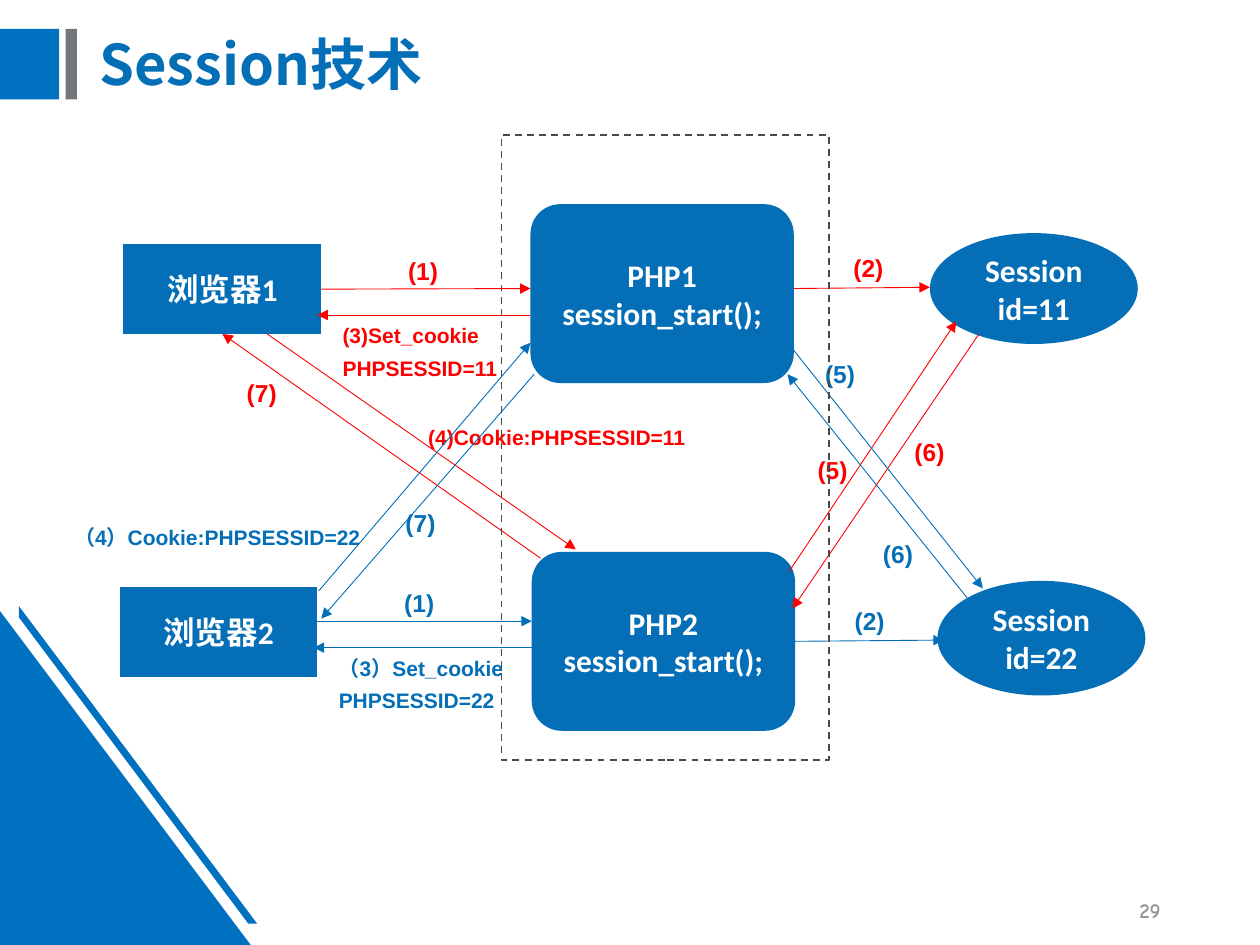
from dataclasses import dataclass

from lxml.etree import SubElement
from pptx import Presentation
from pptx.dml.color import RGBColor
from pptx.enum.dml import MSO_LINE_DASH_STYLE as Dash
from pptx.enum.shapes import MSO_CONNECTOR as Connector, MSO_SHAPE as Shape
from pptx.enum.text import MSO_ANCHOR as Anchor, PP_ALIGN as Align
from pptx.oxml.ns import qn
from pptx.util import Inches, Pt

COLORS = {"accent": "0070C0", "bar": "73777A", "blue": "046FB6", "red": "FF0000",
          "white": "FFFFFF", "number": "949596", "frame": "47494B"}
CJK_FONT = "Noto Sans CJK SC"
UNIT = Inches(0.1)  # the page is a grid of 100 columns by 75 rows
TOP, LEFT, BOTTOM, RIGHT = range(4)


@dataclass
class Box:
    left: float
    top: float
    width: float
    height: float

    @property
    def right(self):
        return self.left + self.width

    def point(self, x, y):
        return self.left + x, self.top + y

    def inner(self, x, y, width, height):
        return Box(*self.point(x, y), width, height)

    def lengths(self):
        return [grid(n) for n in (self.left, self.top, self.width, self.height)]


def grid(number):
    return round(number * UNIT)


def color(name):
    return RGBColor.from_string(COLORS[name])


def write(holder, lines, size, font, ink, align=Align.LEFT, spacing=None, anchor=Anchor.TOP):
    frame = holder.text_frame
    frame.word_wrap = True
    frame.vertical_anchor = anchor
    for index, line in enumerate(lines):
        para = frame.add_paragraph() if index else frame.paragraphs[0]
        para.alignment = align
        if spacing:
            para.line_spacing = spacing
        span = para.add_run()
        span.text = line
        span.font.size = Pt(size)
        span.font.bold = True
        span.font.name = font
        span.font.color.rgb = color(ink)
        SubElement(span.font._element, qn("a:ea"), typeface=CJK_FONT)


def add_text(page, box, lines, *style, **options):
    write(page.shapes.add_textbox(*box.lengths()), lines, *style, **options)


def add_label(page, box, lines, ink, size=12):
    add_text(page, box, lines, size, "Arial", ink, spacing=1.3)


def add_step(page, point, number, ink):
    add_label(page, Box(*point, 5.4, 4.1), [f"({number})"], ink, 14)


def paint(shape, fill):
    shape.shadow.inherit = False
    shape.fill.solid()
    shape.fill.fore_color.rgb = color(fill)
    shape.line.fill.background()


def add_block(page, kind, box, fill, lines=()):
    block = page.shapes.add_shape(kind, *box.lengths())
    paint(block, fill)
    if lines:
        write(block, lines, 18, "Calibri", "white", Align.CENTER, anchor=Anchor.MIDDLE)
    return block


def add_arrow(page, start, end, ink):
    arrow = page.shapes.add_connector(Connector.STRAIGHT, *map(grid, (*start, *end)))
    arrow.line.color.rgb = color(ink)
    arrow.line.width = Pt(0.5)
    SubElement(arrow.line._get_or_add_ln(), qn("a:tailEnd"), type="triangle")
    SubElement(arrow._element.spPr, qn("a:effectLst"))
    return arrow


def draw_header(page, box):
    add_block(page, Shape.RECTANGLE, box.inner(0, 1.3, 4.7, 5.6), "accent")
    add_block(page, Shape.RECTANGLE, box.inner(5.2, 1.3, 0.9, 5.6), "bar")
    add_text(page, box.inner(6.9, 0, 89, box.height), ["Session技术"], 32, CJK_FONT, "blue",
             spacing=0.9, anchor=Anchor.MIDDLE)


def draw_corner(page, box):
    add_block(page, Shape.RIGHT_TRIANGLE, box.inner(0, 0.4, 19.9, 26.5), "accent")
    corners = [box.point(*xy) for xy in ((1.5, 0), (20.4, 25.2), (19.7, 25.2), (1.5, 0.9))]
    outline = [(grid(x), grid(y)) for x, y in corners]
    builder = page.shapes.build_freeform(*outline[0], scale=1.0)
    builder.add_line_segments(outline[1:], close=True)
    paint(builder.convert_to_shape(), "accent")


def draw_lane(page, box, number, ink, client_y, server_x, store_height, request_y, store_y,
              store_end, cookie):
    """One browser, its PHP server and its session store, with steps 1 to 3."""
    client = box.inner(0, client_y, 15.7, 7.1)
    server = box.inner(server_x, 0, 20.9, box.height)
    store = box.inner(box.width - 16.5, 2.3, 16.5, store_height)
    client_block = add_block(page, Shape.FLOWCHART_PROCESS, client, "blue", [f"浏览器{number}"])
    server_block = add_block(page, Shape.FLOWCHART_ALTERNATE_PROCESS, server, "blue",
                             [f"PHP{number}", "session_start();"])
    add_block(page, Shape.OVAL, store, "blue", ["Session", f"id={number}{number}"])

    request, reply = box.top + request_y, box.top + request_y + 2.1
    store_row = box.top + store_y
    asking = add_arrow(page, (client.right, request), (server.left, request), ink)
    saving = add_arrow(page, (server.right, store_row),
                       (store.left + store_end, store_row - 0.1), ink)
    add_arrow(page, (server.left, reply), (client.right - 0.3, reply), ink)
    if number == 1:
        asking.begin_connect(client_block, RIGHT)
    else:
        saving.begin_connect(server_block, RIGHT)

    add_step(page, box.point(21.6, request_y - 3.8), 1, ink)
    add_step(page, (server.right + 3.75, store_row - 4), 2, ink)
    add_label(page, Box(client.right + 0.7, reply - 0.5, 15.2, 6.2), cookie, ink)
    return client_block


def draw_exchange(page, box, ink, routes, steps, cookie, cookie_box):
    """Steps 4 to 7, which cross over to the other lane."""
    arrows = [add_arrow(page, box.point(*start), box.point(*end), ink) for start, end in routes]
    add_label(page, box.inner(*cookie_box), [cookie], ink)
    for number, place in enumerate(steps, 5):
        add_step(page, box.point(*place), number, ink)
    return arrows


def draw_server_frame(page, box):
    frame = page.shapes.add_shape(Shape.RECTANGLE, *box.lengths())
    frame.shadow.inherit = False
    frame.fill.background()
    frame.line.color.rgb = color("frame")
    frame.line.width = Pt(1)
    frame.line.dash_style = Dash.DASH


def draw_page_number(page, box):
    add_text(page, box, ["29"], 12, "Comic Neue", "number", Align.RIGHT, anchor=Anchor.MIDDLE)


def main():
    deck = Presentation()
    deck.slide_width, deck.slide_height = 100 * UNIT, 75 * UNIT
    page = deck.slides.add_slide(deck.slide_layouts[6])
    draw_header(page, Box(0, 1, 100, 8.7))
    draw_corner(page, Box(0, 48.1, 20.4, 26.9))
    draw_page_number(page, Box(70.6, 70.2, 22.5, 4))

    first_client = draw_lane(
        page, Box(9.8, 16.2, 80.5, 14.2), 1, "red", client_y=3.2, server_x=32.3,
        store_height=8.8, request_y=6.7, store_y=6.7, store_end=0,
        cookie=["(3)Set_cookie", "PHPSESSID=11"])
    draw_lane(
        page, Box(9.5, 43.8, 81.4, 14.2), 2, "blue", client_y=2.8, server_x=32.7,
        store_height=9.1, request_y=5.5, store_y=7.1, store_end=0.5,
        cookie=["（3）Set_cookie", "PHPSESSID=22"])

    between = Box(4, 25, 76, 25)
    red_arrows = draw_exchange(
        page, between, "red",
        routes=[((17.2, 1.5), (41.7, 18.6)), ((58.6, 20.4), (71.9, 0.5)),
                ((73.7, 1.5), (58.9, 23.3)), ((38.9, 19.3), (13.7, 1.5))],
        steps=[(59.9, 9.9), (67.6, 8.5), (14.6, 3.8)],
        cookie="(4)Cookie:PHPSESSID=11", cookie_box=(29, 7.6, 23.2, 3.6))
    red_arrows[-1].end_connect(first_client, BOTTOM)
    draw_exchange(
        page, between, "blue",
        routes=[((21.3, 21.9), (38.1, 2.2)), ((58.6, 2.3), (74, 21.7)),
                ((72.8, 22.5), (58.5, 4.7)), ((38.4, 4.7), (21.5, 24.1))],
        steps=[(60.5, 2.3), (65.1, 16.6), (27.2, 14.1)],
        cookie="（4）Cookie:PHPSESSID=22", cookie_box=(0.9, 15.5, 24.7, 6.2))
    draw_server_frame(page, Box(39.8, 10.7, 26, 49.6))
    deck.save("out.pptx")


if __name__ == "__main__":
    main()
